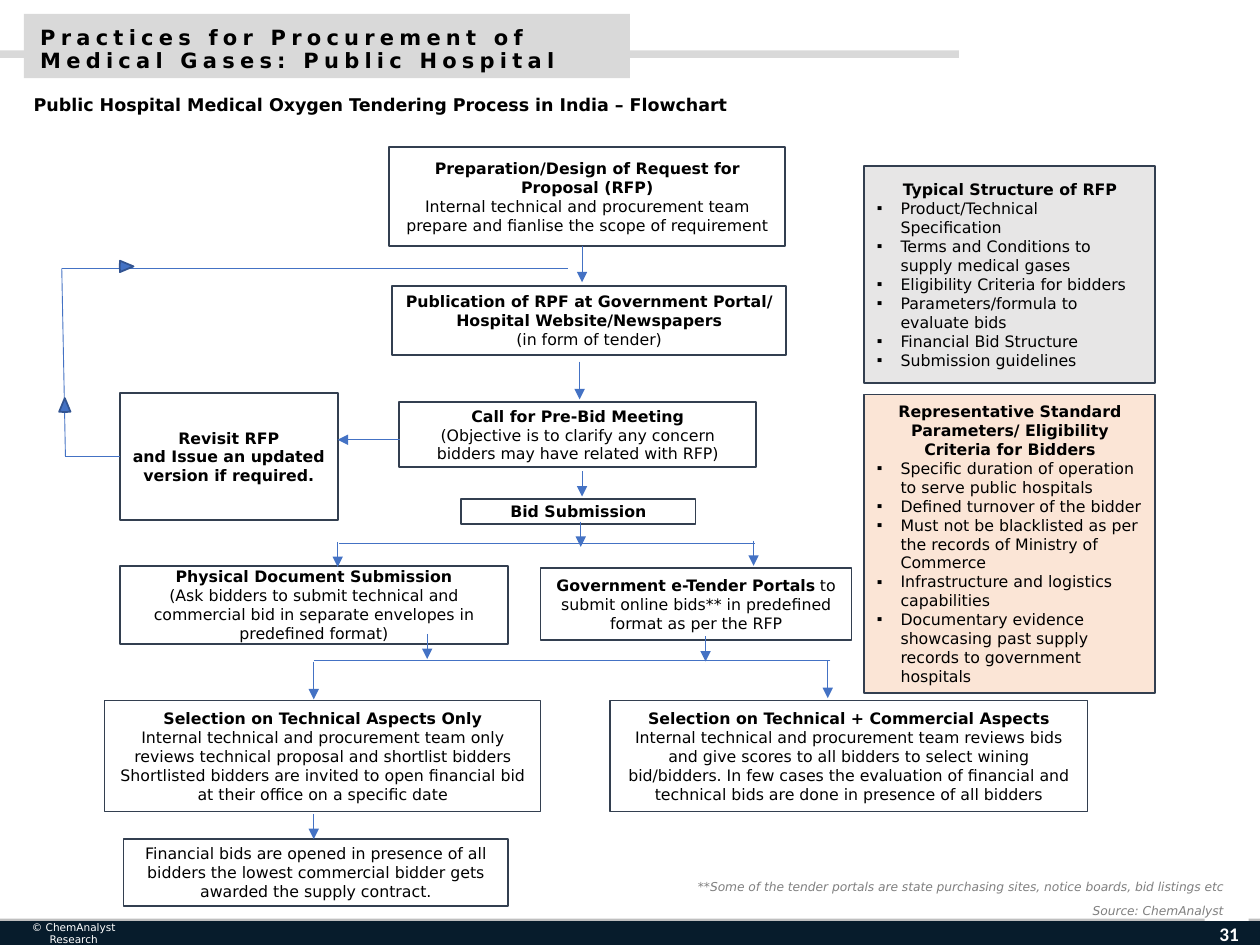
from lxml import etree
from pptx import Presentation
from pptx.dml.color import RGBColor
from pptx.enum import shapes, text
from pptx.oxml import ns
from pptx.util import Pt

FONT = "DejaVu Sans"
BORDER, FLOW, MARKER = "333F50", "4472C4", "325491"
LEFT, CENTER, RIGHT = text.PP_ALIGN.LEFT, text.PP_ALIGN.CENTER, text.PP_ALIGN.RIGHT
TOP, MIDDLE = text.MSO_ANCHOR.TOP, text.MSO_ANCHOR.MIDDLE

# Content: each paragraph is a (bold text, plain text) pair
TITLE = "Practices for Procurement of Medical Gases: Public Hospital"

STEPS = [  # (left, top, width, height), paragraphs
    ((222.5, 84.2, 226, 56.2), [
        ("Preparation/Design of Request for Proposal (RFP)", ""),
        ("", "Internal technical and procurement team prepare and fianlise the scope of requirement")]),
    ((223.9, 163.4, 225.4, 39.6), [
        ("Publication of RPF at Government Portal/ Hospital Website/Newspapers", ""),
        ("", "(in form of tender)")]),
    ((228.2, 229.7, 203.8, 37.4), [
        ("Call for Pre-Bid Meeting", ""),
        ("", "(Objective is to clarify any concern bidders may have related with RFP)")]),
    ((68.4, 224.6, 124.6, 72.7), [
        ("Revisit RFP", ""),
        ("and Issue an updated version if required.", "")]),
    ((263.5, 285.1, 133.9, 14.4), [("Bid Submission", "")]),
    ((68.4, 323.3, 221.8, 44.6), [
        ("Physical Document Submission", ""),
        ("", "(Ask bidders to submit technical and commercial bid in separate envelopes in "
             "predefined format)")]),
    ((308.9, 324.7, 177.8, 41), [
        ("Government e-Tender Portals",
         " to submit online bids** in predefined format as per the RFP")]),
    ((59.8, 400.3, 249.1, 63.4), [
        ("Selection on Technical Aspects Only", ""),
        ("", "Internal technical and procurement team only reviews technical proposal and "
             "shortlist bidders"),
        ("", "Shortlisted bidders are invited to open financial bid at their office on a "
             "specific date")]),
    ((348.5, 400.3, 272.9, 63.4), [
        ("Selection on Technical + Commercial Aspects", ""),
        ("", "Internal technical and procurement team reviews bids and give scores to all "
             "bidders to select wining bid/bidders. In few cases the evaluation of financial "
             "and technical bids are done in presence of all bidders")]),
    ((70.6, 479.5, 219.6, 38.2), [
        ("", "Financial bids are opened in presence of all bidders the lowest commercial "
             "bidder gets awarded the supply contract.")]),
]

LISTS = [  # (left, top, width, height), fill, heading, items
    ((493.9, 95, 166.3, 123.8), "E7E6E6", "Typical Structure of RFP", [
        "Product/Technical Specification",
        "Terms and Conditions to supply medical gases",
        "Eligibility Criteria for bidders",
        "Parameters/formula to evaluate bids",
        "Financial Bid Structure",
        "Submission guidelines"]),
    ((493.9, 225.4, 166.3, 170.6), "FBE5D6",
     "Representative Standard Parameters/ Eligibility Criteria for Bidders", [
        "Specific duration of operation to serve public hospitals",
        "Defined turnover of the bidder",
        "Must not be blacklisted as per the records of Ministry of Commerce",
        "Infrastructure and logistics capabilities",
        "Documentary evidence showcasing past supply records to government hospitals"]),
]

NOTES = [  # (left, top, width, height), paragraph, alignment, anchor, font format
    ((12.2, 50.4, 522.7, 19.4),
     ("Public Hospital Medical Oxygen Tendering Process in India – Flowchart", ""),
     LEFT, TOP, dict(size=Pt(10))),
    ((378.7, 499, 327.6, 15.8),
     ("", "**Some of the tender portals are state purchasing sites, notice boards, bid listings etc"),
     RIGHT, TOP, dict(size=Pt(7), italic=True, color="808080")),
    ((501.8, 512.6, 204.5, 15.8), ("", "Source: ChemAnalyst"),
     RIGHT, TOP, dict(size=Pt(7), italic=True, color="808080")),
    ((0, 527.8, 84.2, 10.8), ("", "© ChemAnalyst Research"),
     CENTER, MIDDLE, dict(size=Pt(6), color="FFFFFF")),
    ((684.7, 519.1, 35.3, 28.8), ("31", ""),
     CENTER, MIDDLE, dict(size=Pt(11), color="FFFFFF", name="Calibri")),
]

BANDS = [  # (left, top, width, height), fill
    ((0, 524.9, 720, 15.1), "BFBFBF"),
    ((688.3, 513.4, 25.2, 26.6), "FFFFFF"),
    ((0, 526.3, 720, 13.7), "071C2C"),
    ((13.7, 7.9, 346.3, 36.7), "D9D9D9"),
    ((0, 28.8, 547.9, 4.3), "D9D9D9"),
]

DROPS = [  # downward arrows: x, top, length
    (332.6, 140.4, 20.9), (331.2, 206.6, 21.6), (332.6, 269.3, 14.4),
    (331.9, 298.1, 14.4), (193, 309.6, 14.4), (430.6, 308.9, 14.4),
    (244.1, 362.2, 14.4), (403.2, 363.6, 14.4), (179.3, 378, 21.6),
    (473, 377.3, 21.6), (179.3, 465.1, 14.4),
]
RETURN_LOOP = [(68.4, 260.6), (37.4, 260.6), (35.3, 153.4), (324.7, 153.4)]
BRANCHES = [((431.3, 310.3), (193.7, 310.3)), ((474.5, 377.3), (179.3, 377.3))]
MARKERS = [((33.1, 228.2, 7.9, 6.5), 270), ((68.4, 149, 7.9, 6.5), 0)]


def rgb(value):
    return RGBColor.from_string(value)


def points(values):
    return [Pt(v) for v in values]


def paint(sp, fill=None, line=None):
    if fill:
        sp.fill.solid()
        sp.fill.fore_color.rgb = rgb(fill)
    else:
        sp.fill.background()
    if line:
        sp.line.color.rgb = rgb(line)
        sp.line.width = Pt(1)
    else:
        sp.line.fill.background()


def add_box(s, place, fill=None, line=None, kind=shapes.MSO_SHAPE.RECTANGLE):
    sp = s.shapes.add_shape(kind, *points(place))
    sp.shadow.inherit = False
    paint(sp, fill, line)
    return sp


def place_holder(sp, place):
    sp.left, sp.top, sp.width, sp.height = points(place)


def write(sp, paragraphs, align=CENTER, anchor=MIDDLE, bullets_from=None, **font):
    tf = sp.text_frame
    tf.word_wrap, tf.auto_size, tf.vertical_anchor = True, text.MSO_AUTO_SIZE.NONE, anchor
    style = dict(dict(name=FONT, size=Pt(9), italic=False), **font)
    color = style.pop("color", "000000")
    for i, pair in enumerate(paragraphs):
        p = tf.paragraphs[0] if i == 0 else tf.add_paragraph()
        bulleted = bullets_from is not None and i >= bullets_from
        p.alignment = LEFT if bulleted else align
        p.space_before = p.space_after = Pt(0)
        pPr = p._p.get_or_add_pPr()
        indent = Pt(13.5) if bulleted else 0
        pPr.set("marL", str(indent))
        pPr.set("indent", str(-indent))
        if bulleted:
            etree.SubElement(pPr, ns.qn("a:buChar"), char="▪")
        else:
            etree.SubElement(pPr, ns.qn("a:buNone"))
        for words, bold in zip(pair, (True, False)):
            if words:
                r = p.add_run()
                r.text = words
                for key, value in dict(style, bold=bold).items():
                    setattr(r.font, key, value)
                r.font.color.rgb = rgb(color)
    return tf


def connect(s, start, end, arrow=False):
    c = s.shapes.add_connector(shapes.MSO_CONNECTOR.STRAIGHT, *points(start + end))
    c.line.color.rgb = rgb(FLOW)
    c.line.width = Pt(0.5)
    if arrow:
        etree.SubElement(c.line._get_or_add_ln(), ns.qn("a:tailEnd"), type="triangle")
    etree.SubElement(c._element.spPr, ns.qn("a:effectLst"))


def main():
    prs = Presentation()
    prs.slide_width, prs.slide_height = Pt(720), Pt(540)
    s = prs.slides.add_slide(prs.slide_layouts[3])
    title, *bodies = s.placeholders

    # Header and footer bands, then the title in front of them
    for place, fill in BANDS:
        add_box(s, place, fill)
    s.shapes._spTree.append(title._element)
    place_holder(title, (15.8, 12.2, 342, 33.1))
    tf = write(title, [(TITLE, "")], LEFT, TOP, size=Pt(12))
    tf.paragraphs[0].line_spacing = 0.9
    tf.paragraphs[0].runs[0].font._element.set("spc", "300")

    # Notes and footer text
    for place, pair, align, anchor, font in NOTES:
        write(s.shapes.add_textbox(*points(place)), [pair], align, anchor, **font)

    # Side lists
    for sp, (place, fill, heading, items) in zip(bodies, LISTS):
        place_holder(sp, place)
        paint(sp, fill, BORDER)
        write(sp, [(heading, "")] + [("", item) for item in items], bullets_from=1)

    # Flowchart boxes
    for place, paragraphs in STEPS:
        write(add_box(s, place, line=BORDER), paragraphs)

    # Flow lines and arrows
    for x, top, length in DROPS:
        connect(s, (x, top), (x, top + length), arrow=True)
    connect(s, (228.6, 251.3), (193, 251.3), arrow=True)
    for start, end in list(zip(RETURN_LOOP, RETURN_LOOP[1:])) + BRANCHES:
        connect(s, start, end)

    # Direction markers on the return loop
    for place, angle in MARKERS:
        sp = add_box(s, place, FLOW, MARKER, shapes.MSO_SHAPE.RIGHT_ARROW)
        sp.adjustments[0], sp.adjustments[1] = 0.5, 1.2
        sp.rotation = angle

    prs.save("out.pptx")


if __name__ == "__main__":
    main()
